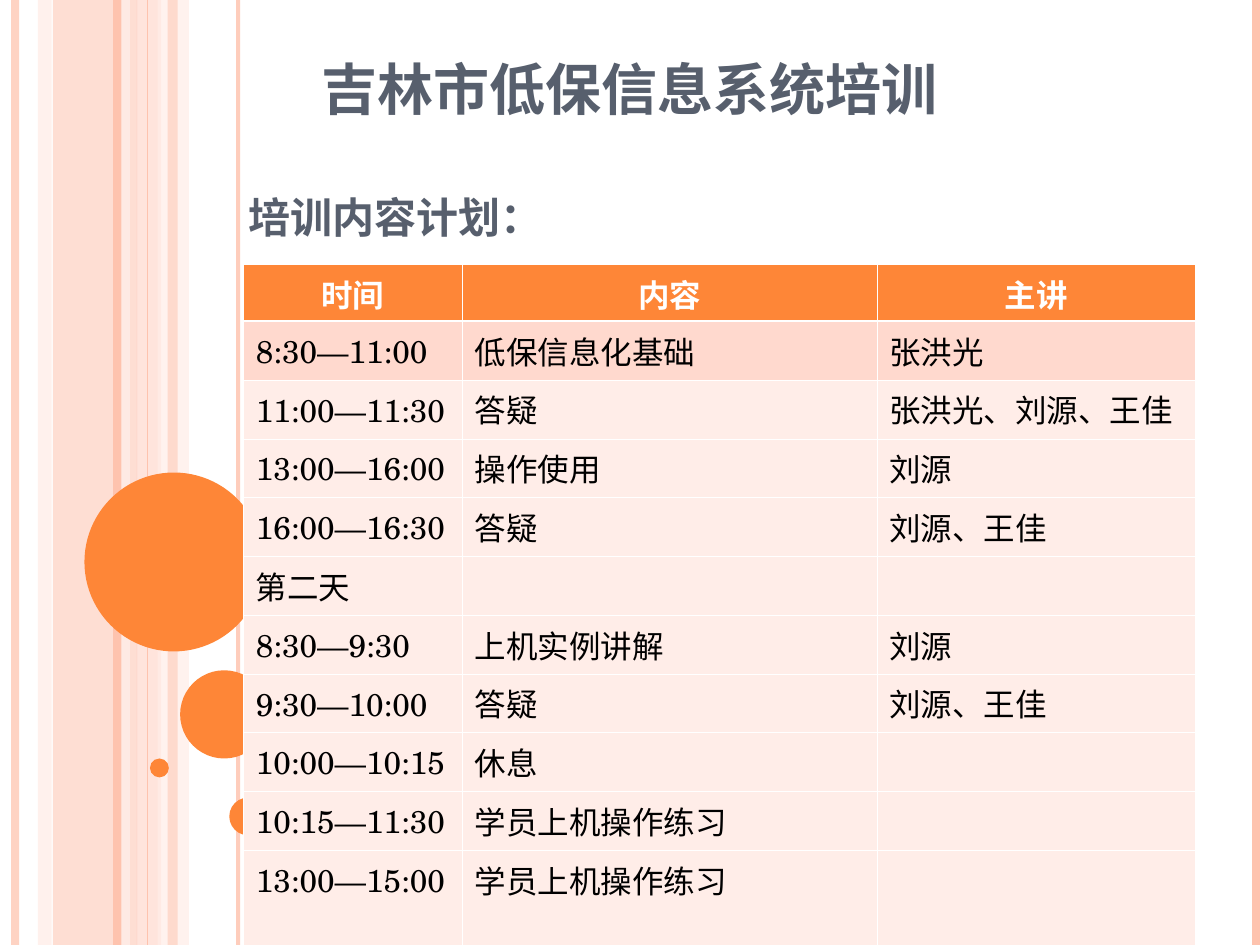
from lxml.etree import SubElement
from pptx import Presentation
from pptx.dml.color import RGBColor
from pptx.enum.shapes import MSO_CONNECTOR, MSO_SHAPE
from pptx.enum.text import MSO_ANCHOR, MSO_AUTO_SIZE, PP_ALIGN
from pptx.oxml.ns import qn
from pptx.util import Inches, Pt

ORANGE = RGBColor(0xFE, 0x86, 0x37)
SALMON = RGBColor(0xFE, 0xC3, 0xAE)
PEACH = RGBColor(0xFF, 0xD9, 0xCE)
BLUSH = RGBColor(0xFF, 0xED, 0xE8)
SLATE = RGBColor(0x57, 0x5F, 0x6D)
BLACK = RGBColor(0, 0, 0)
WHITE = RGBColor(255, 255, 255)

FONT = "TeX Gyre Schola"
PAGE_HEIGHT = 7.5

BANDS = [
    (0.42, 0.67, SALMON, 54),
    (0.3, 0.11, PEACH, 36),
    (1.08, 0.2, PEACH, 70),
    (1.25, 0.25, BLUSH, 71),
]
FRONT_BAND = (1.33, 0.08, SALMON, 51)
STRIPES = [
    (0.12, SALMON, 4.5, 73),
    (1, BLUSH, 4.5, 83),
    (0.93, SALMON, 4.5, 100),
    (1.89, SALMON, 2.25, 82),
    (1.17, SALMON, 0.75, 100),
    (9.97, SALMON, 4.5, 100),
]
CIRCLES = [
    (0.67, 3.75, 1.42),
    (1.43, 5.32, 0.7),
    (1.19, 6.02, 0.15),
    (1.82, 6.33, 0.3),
]
COLUMN_WIDTHS = [1.74, 3.29, 2.53]
SCHEDULE = [
    ("时间", "内容", "主讲"),
    ("8:30—11:00", "低保信息化基础", "张洪光"),
    ("11:00—11:30", "答疑", "张洪光、刘源、王佳"),
    ("13:00—16:00", "操作使用", "刘源"),
    ("16:00—16:30", "答疑", "刘源、王佳"),
    ("第二天", "", ""),
    ("8:30—9:30", "上机实例讲解", "刘源"),
    ("9:30—10:00", "答疑", "刘源、王佳"),
    ("10:00—10:15", "休息", ""),
    ("10:15—11:30", "学员上机操作练习", ""),
    ("13:00—15:00", "学员上机操作练习", ""),
]
MIDDLE_ROWS = len(SCHEDULE) - 2
ROW_HEIGHTS = [0.45] + [4.2 / MIDDLE_ROWS] * MIDDLE_ROWS + [0.75]


def write(frame, text, size=18, color=BLACK, bold=False, align=PP_ALIGN.LEFT):
    para = frame.paragraphs[0]
    para.alignment = align
    para.font.size = Pt(size)
    if text:
        span = para.add_run()
        span.text = text
        span.font.name = FONT
        span.font.size = Pt(size)
        span.font.bold = bold
        span.font.color.rgb = color


def set_opacity(fill_owner, percent):
    if percent < 100:
        color = next(fill_owner.iter(qn("a:srgbClr")))
        SubElement(color, qn("a:alpha"), val=str(percent * 1000))


def set_borders(cell, top=0.45, bottom=0.45):
    properties = cell._tc.get_or_add_tcPr()
    for side, width in (("L", 0.45), ("R", 0.45), ("T", top), ("B", bottom)):
        line = SubElement(properties, qn(f"a:ln{side}"), w=str(Pt(width)))
        fill = SubElement(line, qn("a:solidFill"))
        SubElement(fill, qn("a:srgbClr"), val=str(WHITE))


class TrainingPage:
    def __init__(self, deck):
        self.page = deck.slides.add_slide(deck.slide_layouts[5])
        self.shapes = self.page.shapes

    def filled_shape(self, kind, left, top, width, height, color, opacity=100):
        shape = self.shapes.add_shape(
            kind, Inches(left), Inches(top), Inches(width), Inches(height))
        shape.shadow.inherit = False
        shape.fill.solid()
        shape.fill.fore_color.rgb = color
        shape.line.fill.background()
        set_opacity(shape._element.spPr, opacity)

    def band(self, left, width, color, opacity):
        self.filled_shape(
            MSO_SHAPE.RECTANGLE, left, 0, width, PAGE_HEIGHT, color, opacity)

    def circle(self, left, top, diameter):
        self.filled_shape(MSO_SHAPE.OVAL, left, top, diameter, diameter, ORANGE)

    def stripe(self, x, color, width, opacity):
        line = self.shapes.add_connector(
            MSO_CONNECTOR.STRAIGHT, Inches(x), 0, Inches(x), Inches(PAGE_HEIGHT))
        line.line.color.rgb = color
        line.line.width = Pt(width)
        set_opacity(line._element.spPr, opacity)
        SubElement(line._element.spPr, qn("a:effectLst"))

    def title(self, text):
        box = self.shapes.title
        box.left, box.top = Inches(0), Inches(0.39)
        box.width, box.height = Inches(10), Inches(0.63)
        box.text_frame.auto_size = MSO_AUTO_SIZE.NONE
        box.text_frame.vertical_anchor = MSO_ANCHOR.BOTTOM
        write(box.text_frame, text, size=32, color=SLATE, bold=True,
              align=PP_ALIGN.CENTER)

    def subtitle(self, text):
        box = self.shapes.add_textbox(
            Inches(1.87), Inches(1.47), Inches(8.12), Inches(0.63))
        box.text_frame.word_wrap = True
        write(box.text_frame, text, size=24, color=SLATE, bold=True)

    def schedule(self, rows):
        table = self.shapes.add_table(
            len(rows), len(COLUMN_WIDTHS), Inches(1.93), Inches(2.1),
            Inches(sum(COLUMN_WIDTHS)), Inches(sum(ROW_HEIGHTS))).table
        for column, width in zip(table.columns, COLUMN_WIDTHS):
            column.width = Inches(width)
        for row, height in zip(table.rows, ROW_HEIGHTS):
            row.height = Inches(height)
        for row_index, texts in enumerate(rows):
            for column_index, text in enumerate(texts):
                cell = table.cell(row_index, column_index)
                if row_index == 0:
                    set_borders(cell, bottom=1.47)
                    color = ORANGE
                    write(cell.text_frame, text, color=WHITE, bold=True,
                          align=PP_ALIGN.CENTER)
                else:
                    first = row_index == 1
                    set_borders(cell, top=1.47 if first else 0.45)
                    color = PEACH if first else BLUSH
                    write(cell.text_frame, text)
                cell.fill.solid()
                cell.fill.fore_color.rgb = color


def main():
    deck = Presentation()
    deck.slide_width = Inches(10)
    deck.slide_height = Inches(PAGE_HEIGHT)
    page = TrainingPage(deck)
    for band in BANDS:
        page.band(*band)
    for stripe in STRIPES:
        page.stripe(*stripe)
    page.band(*FRONT_BAND)
    for circle in CIRCLES:
        page.circle(*circle)
    page.title("吉林市低保信息系统培训")
    page.subtitle("培训内容计划：")
    page.schedule(SCHEDULE)
    deck.save("out.pptx")


if __name__ == "__main__":
    main()
